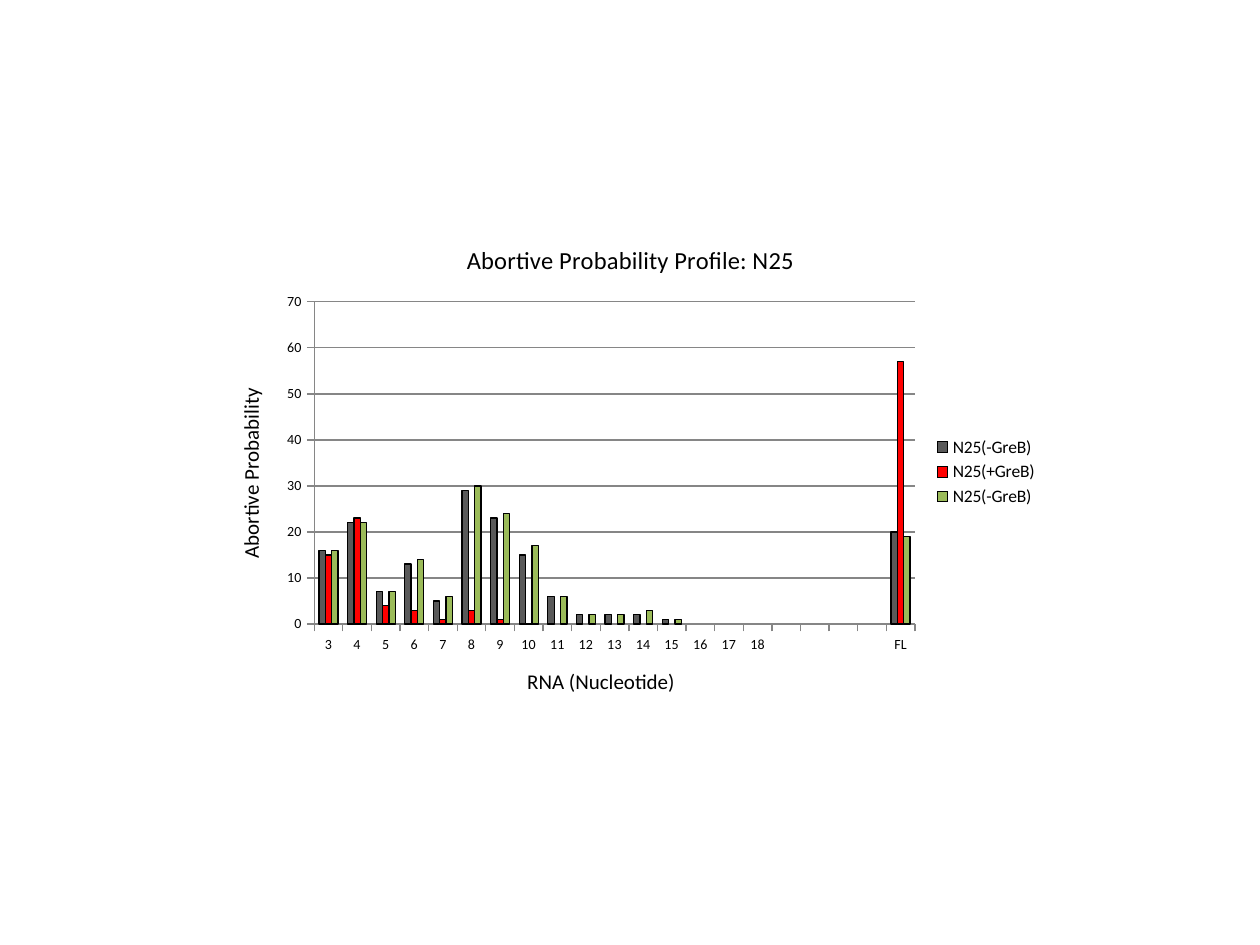
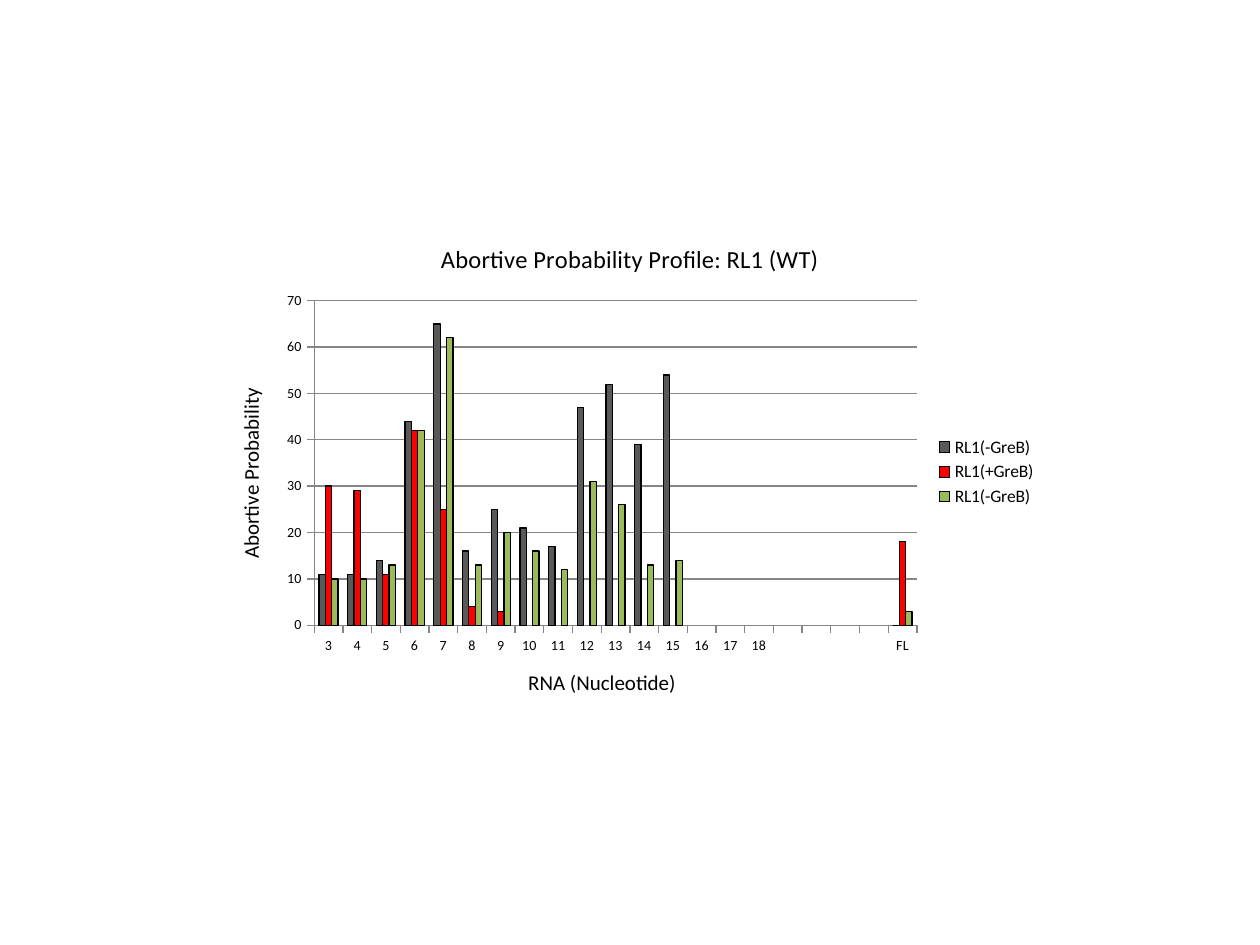
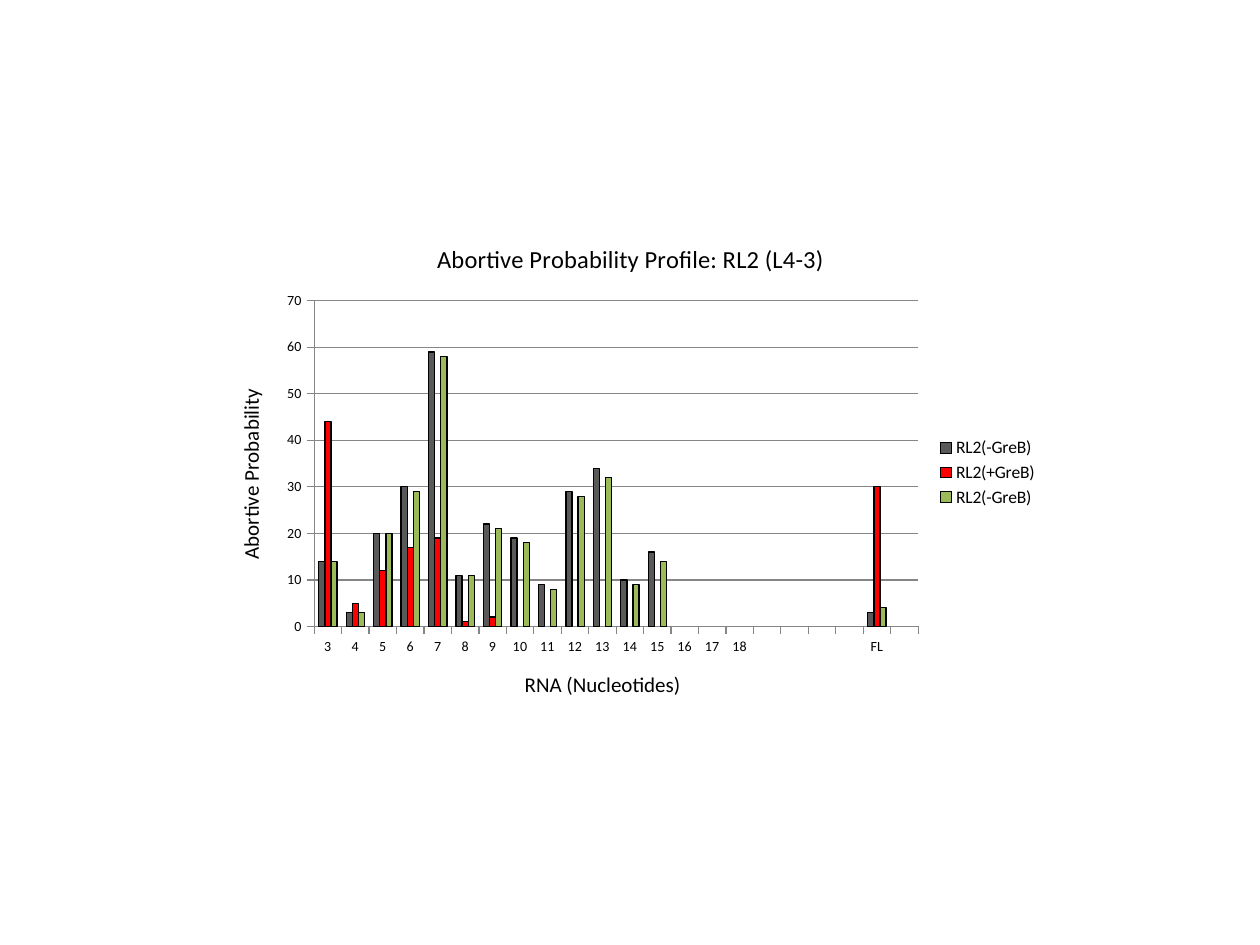
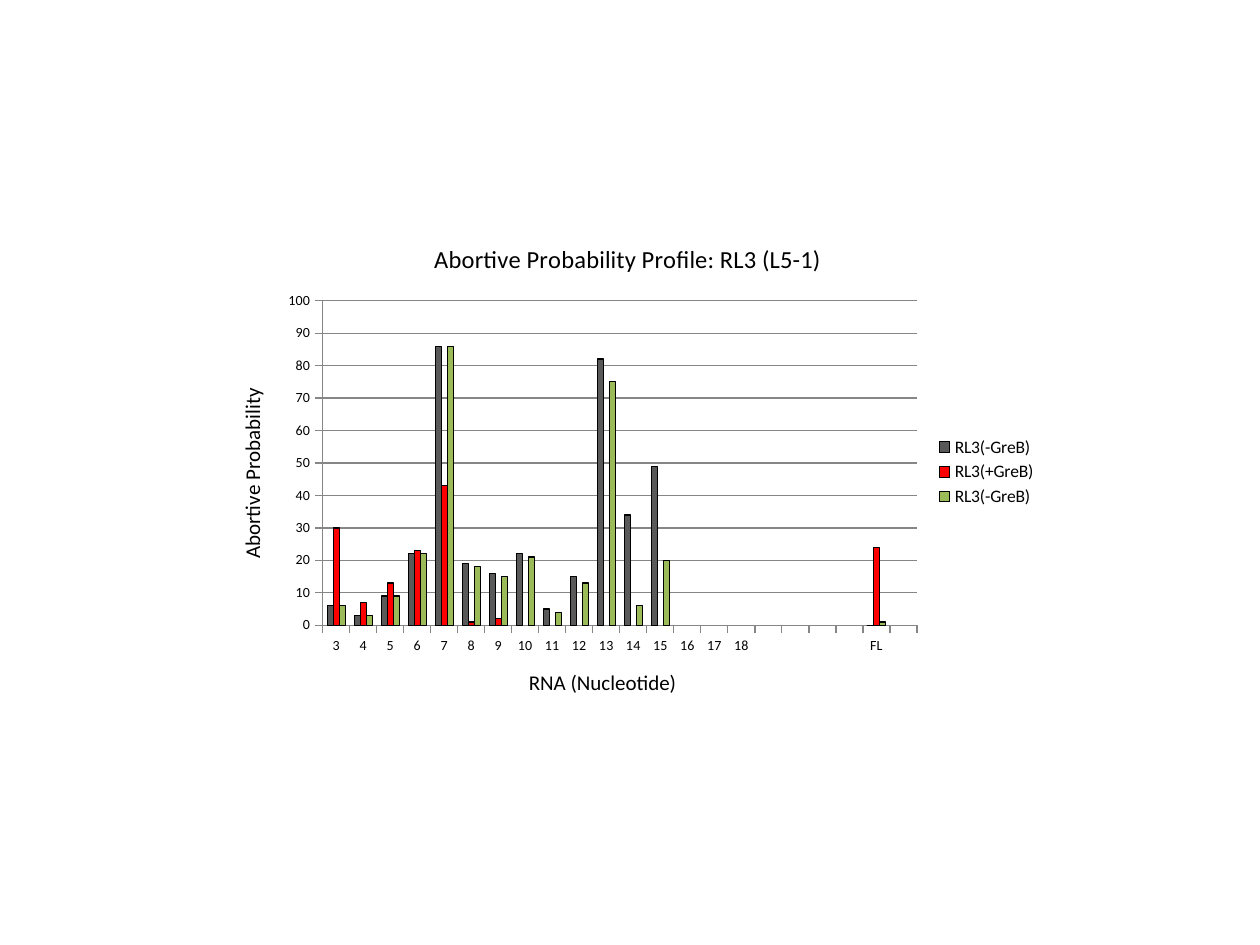
from pptx import Presentation
from pptx.chart.data import CategoryChartData as ChartData
from pptx.dml.color import RGBColor
from pptx.enum.chart import XL_CHART_TYPE as ChartType
from pptx.enum.chart import XL_LEGEND_POSITION as LegendPosition
from pptx.enum.chart import XL_TICK_MARK as TickMark
from pptx.util import Inches, Pt

COLORS = {"text": "000000", "outline": "000000", "axis": "868686",
          "control": "595959", "treated": "FF0000", "repeat": "9BBB59"}
FONT = "Calibri"
SERIES = [("(-GreB)", "control"), ("(+GreB)", "treated"), ("(-GreB)", "repeat")]
LENGTHS = [str(length) for length in range(3, 19)]
FULL_LENGTH_SLOT = 20

PROFILES = [
    dict(promoter="N25", title="N25", box=(1.67, 1.76, 6.67, 3.97),
         axis="RNA (Nucleotide)", slots=21, top=70, full_length=(20, 57, 19),
         aborted=([16, 22, 7, 13, 5, 29, 23, 15, 6, 2, 2, 2, 1],
                  [15, 23, 4, 3, 1, 3, 1, 0],
                  [16, 22, 7, 14, 6, 30, 24, 17, 6, 2, 2, 3, 1])),
    dict(promoter="RL1", title="RL1 (WT)", box=(1.67, 1.75, 6.66, 3.99),
         axis="RNA (Nucleotide)", slots=21, top=70, full_length=(0, 18, 3),
         aborted=([11, 11, 14, 44, 65, 16, 25, 21, 17, 47, 52, 39, 54],
                  [30, 29, 11, 42, 25, 4, 3],
                  [10, 10, 13, 42, 62, 13, 20, 16, 12, 31, 26, 13, 14])),
    dict(promoter="RL2", title="RL2 (L4-3)", box=(1.67, 1.75, 6.67, 4),
         axis="RNA (Nucleotides)", slots=22, top=70, full_length=(3, 30, 4),
         aborted=([14, 3, 20, 30, 59, 11, 22, 19, 9, 29, 34, 10, 16],
                  [44, 5, 12, 17, 19, 1, 2],
                  [14, 3, 20, 29, 58, 11, 21, 18, 8, 28, 32, 9, 14])),
    dict(promoter="RL3", title="RL3 (L5-1) ", box=(1.68, 1.75, 6.65, 3.99),
         axis="RNA (Nucleotide)", slots=22, top=100, full_length=(0, 24, 1),
         aborted=([6, 3, 9, 22, 86, 19, 16, 22, 5, 15, 82, 34, 49],
                  [30, 7, 13, 23, 43, 1, 2],
                  [6, 3, 9, 22, 86, 18, 15, 21, 4, 13, 75, 6, 20])),
]


def color(name):
    """Return the named colour."""
    return RGBColor.from_string(COLORS[name])


def style_font(font, size):
    """Apply the shared chart font at the given size."""
    font.name, font.size, font.bold = FONT, Pt(size), False
    font.color.rgb = color("text")


def write_title(title, text, size):
    """Write a chart or axis title in the shared style."""
    para = title.text_frame.paragraphs[0]
    para.text = text
    style_font(para.font, size)


def spread(values, full_length, slots, gap):
    """Put values first and the full-length entry in its slot, with gaps elsewhere."""
    row = list(values) + [gap] * (slots - len(values))
    row[FULL_LENGTH_SLOT] = full_length
    return row


def profile_data(profile):
    """Build the chart data of one promoter."""
    slots = profile["slots"]
    data = ChartData(number_format="0")
    data.categories = spread(LENGTHS, "FL", slots, "")
    for (suffix, _), values, full in zip(SERIES, profile["aborted"], profile["full_length"]):
        data.add_series(profile["promoter"] + suffix, spread(values, full, slots, None))
    return data


def style_axis(axis, title):
    """Style an axis with its title, ticks and line."""
    write_title(axis.axis_title, title, 12)
    axis.major_tick_mark = TickMark.OUTSIDE
    axis.minor_tick_mark = TickMark.NONE
    axis.format.line.color.rgb = color("axis")
    axis.format.line.width = Pt(0.75)
    style_font(axis.tick_labels.font, 8)


def style_value_axis(axis, top):
    """Set the scale, gridlines and upright title of the value axis."""
    style_axis(axis, "Abortive Probability")
    axis.minimum_scale, axis.maximum_scale, axis.major_unit = 0, top, 10
    axis.tick_labels.number_format = "0"
    axis.tick_labels.number_format_is_linked = False
    axis.has_major_gridlines = True
    gridline = axis.major_gridlines.format.line
    gridline.color.rgb, gridline.width = color("axis"), Pt(0.75)
    body = axis.axis_title.text_frame._txBody.bodyPr
    body.set("rot", "-5400000")
    body.set("vert", "horz")


def style_columns(plot):
    """Colour and outline the columns."""
    plot.gap_width, plot.overlap = 150, 0
    plot.vary_by_categories = False
    for series, (_, name) in zip(plot.series, SERIES):
        series.invert_if_negative = False
        series.format.fill.solid()
        series.format.fill.fore_color.rgb = color(name)
        series.format.line.color.rgb = color("outline")
        series.format.line.width = Pt(0.75)


def add_profile(page, profile):
    """Draw the abortive probability chart in its box."""
    box = [Inches(length) for length in profile["box"]]
    chart = page.shapes.add_chart(
        ChartType.COLUMN_CLUSTERED, *box, profile_data(profile)).chart
    style_font(chart.font, 10)
    chart.has_title = True
    write_title(chart.chart_title, "Abortive Probability Profile: " + profile["title"], 14)
    chart.chart_title.include_in_layout = False
    style_axis(chart.category_axis, profile["axis"])
    style_value_axis(chart.value_axis, profile["top"])
    style_columns(chart.plots[0])
    chart.has_legend = True
    chart.legend.position = LegendPosition.RIGHT
    chart.legend.include_in_layout = False
    style_font(chart.legend.font, 10)


def main():
    """Build and save the deck."""
    deck = Presentation()
    deck.slide_width, deck.slide_height = Inches(10), Inches(7.5)
    for profile in PROFILES:
        add_profile(deck.slides.add_slide(deck.slide_layouts[6]), profile)
    deck.save("out.pptx")


if __name__ == "__main__":
    main()
